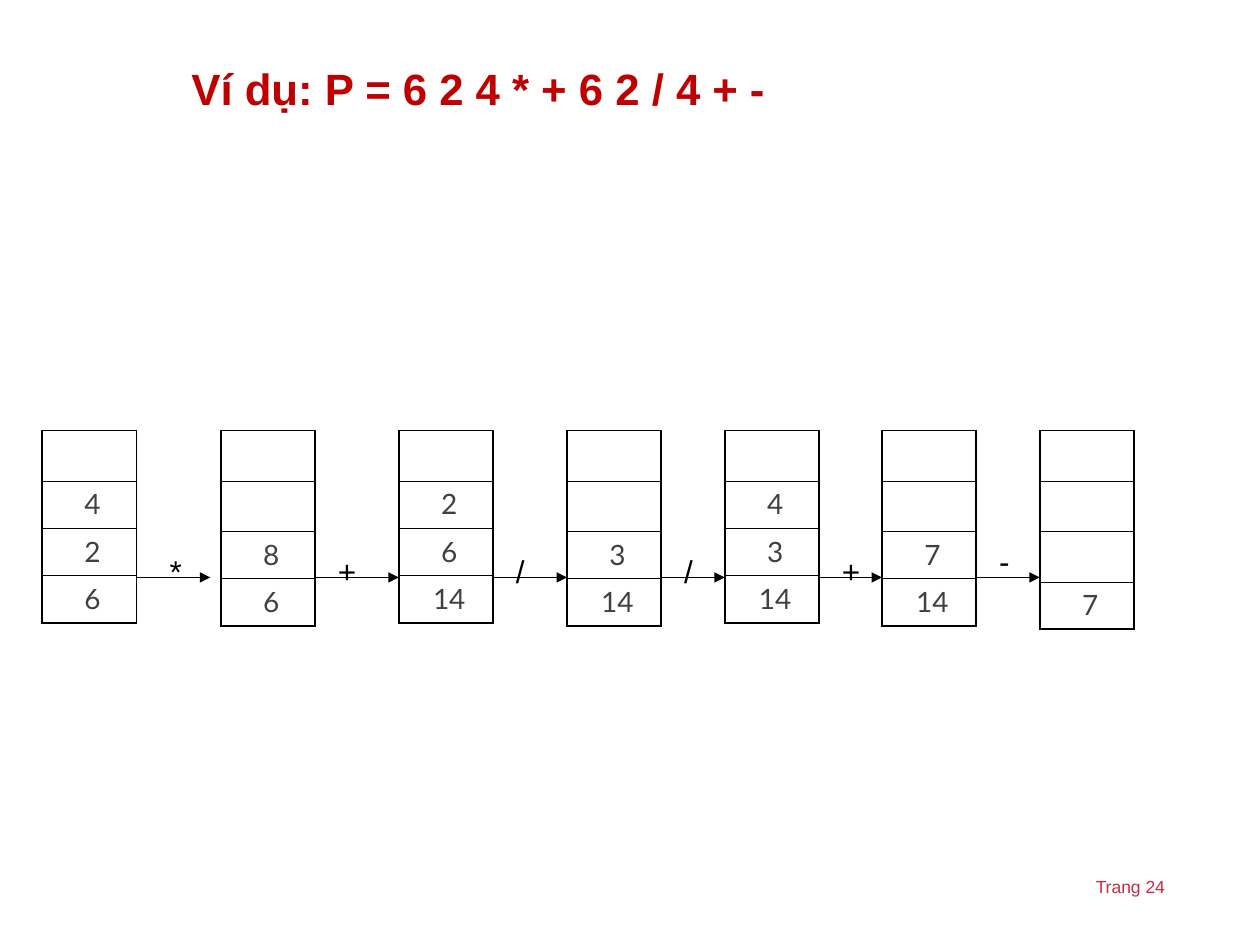
from dataclasses import dataclass

from lxml.etree import SubElement
from pptx import Presentation
from pptx.dml.color import RGBColor
from pptx.enum.shapes import MSO_CONNECTOR as Connector
from pptx.enum.text import MSO_ANCHOR as Anchor, MSO_AUTO_SIZE as AutoSize, PP_ALIGN as Align
from pptx.oxml.ns import qn
from pptx.util import Cm, Pt


@dataclass(frozen=True)
class Theme:
    title: str = "C00000"
    footer: str = "CF2941"
    ink: str = "000000"
    value: str = "404040"
    font: str = "Arial"
    value_font: str = "Lato"
    title_size: float = 25
    footer_size: float = 10
    operator_size: float = 18
    value_size: float = 16
    outer_border: float = 1.08
    inner_border: float = 0.45
    arrow_width: float = 0.75


theme = Theme()


def style_run(paragraph, font_name, size, color, bold=False):
    font = paragraph.runs[0].font
    font.name, font.size, font.bold = font_name, Pt(size), bold
    font.color.rgb = RGBColor.from_string(color)


def add_text(slide, text, left, top, width, height, size, color, bold=False):
    shape = slide.shapes.add_textbox(Cm(left), Cm(top), Cm(width), Cm(height))
    frame = shape.text_frame
    frame.word_wrap = True
    frame.text = text
    style_run(frame.paragraphs[0], theme.font, size, color, bold)
    return frame


presentation = Presentation()
presentation.slide_width, presentation.slide_height = Cm(25.4), Cm(19.05)
slide = presentation.slides.add_slide(presentation.slide_layouts[6])

# Title and page number
title = add_text(slide, "Ví dụ: P = 6 2 4 * + 6 2 / 4 + -", 3.61, 1.27, 20.27, 2.08,
                 theme.title_size, theme.title, bold=True)
title.vertical_anchor = Anchor.TOP
title.margin_top = Cm(0.1)
title.paragraphs[0].line_spacing = 0.9
footer = add_text(slide, "Trang 24", 21.84, 17.53, 3.07, 0.69, theme.footer_size, theme.footer)
footer.auto_size = AutoSize.SHAPE_TO_FIT_TEXT

# Stack states: left edge and values from top to bottom
ROWS = 4
STACK_TOP, STACK_WIDTH, STACK_HEIGHT = 8.68, 1.9, 3.81
stacks = [
    (0.85, ["4", "2", "6"]),
    (4.45, ["8", "6"]),
    (8.04, ["2", "6", "14"]),
    (11.43, ["3", "14"]),
    (14.61, ["4", "3", "14"]),
    (17.78, ["7", "14"]),
    (20.96, ["7"]),
]
for left, values in stacks:
    table = slide.shapes.add_table(ROWS, 1, Cm(left), Cm(STACK_TOP),
                                   Cm(STACK_WIDTH), Cm(STACK_HEIGHT)).table
    table.first_row = table.horz_banding = False
    first_filled = ROWS - len(values)
    for row in range(ROWS):
        cell = table.cell(row, 0)
        # Borders: heavier around the stack, thin between its cells
        borders = {
            "a:lnL": theme.outer_border,
            "a:lnR": theme.outer_border,
            "a:lnT": theme.outer_border if row == 0 else theme.inner_border,
            "a:lnB": theme.outer_border if row == ROWS - 1 else theme.inner_border,
        }
        properties = cell._tc.get_or_add_tcPr()
        for tag, width in borders.items():
            border = SubElement(properties, qn(tag), w=str(Pt(width)))
            fill = SubElement(border, qn("a:solidFill"))
            SubElement(fill, qn("a:srgbClr"), val=theme.ink)
        cell.fill.background()
        if row < first_filled:
            continue
        paragraph = cell.text_frame.paragraphs[0]
        paragraph.text = values[row - first_filled]
        paragraph.alignment = Align.CENTER
        paragraph.space_before, paragraph.space_after = Pt(4), Pt(3)
        indents = paragraph._p.get_or_add_pPr()
        indents.set("marL", str(Cm(0.13)))
        indents.set("indent", "0")
        style_run(paragraph, theme.value_font, theme.value_size, theme.value)

# Arrows between stacks: operator, its offset and top, gap before the next stack
ARROW_Y = 11.64
operations = [
    ("*", 0.42, 11.01, 0.21),
    ("+", 0.21, 11.01, 0),
    ("/", 0.21, 11.01, 0),
    ("/", 0.21, 11.01, 0),
    ("+", 0.21, 11.01, 0),
    ("-", 0.21, 10.8, 0),
]
for (left, _), (next_left, _), (operator, offset, top, gap) in zip(stacks, stacks[1:], operations):
    start = left + STACK_WIDTH
    label = add_text(slide, operator, start + offset, top, 1.06, 1.02,
                     theme.operator_size, theme.ink)
    label.auto_size = AutoSize.SHAPE_TO_FIT_TEXT
    label.paragraphs[0].space_before = Pt(11.2)

    arrow = slide.shapes.add_connector(Connector.STRAIGHT, Cm(start), Cm(ARROW_Y),
                                       Cm(next_left - gap), Cm(ARROW_Y))
    arrow.line.color.rgb = RGBColor.from_string(theme.ink)
    arrow.line.width = Pt(theme.arrow_width)
    SubElement(arrow.line._get_or_add_ln(), qn("a:tailEnd"), type="triangle")
    SubElement(arrow._element.spPr, qn("a:effectLst"))

presentation.save("out.pptx")
